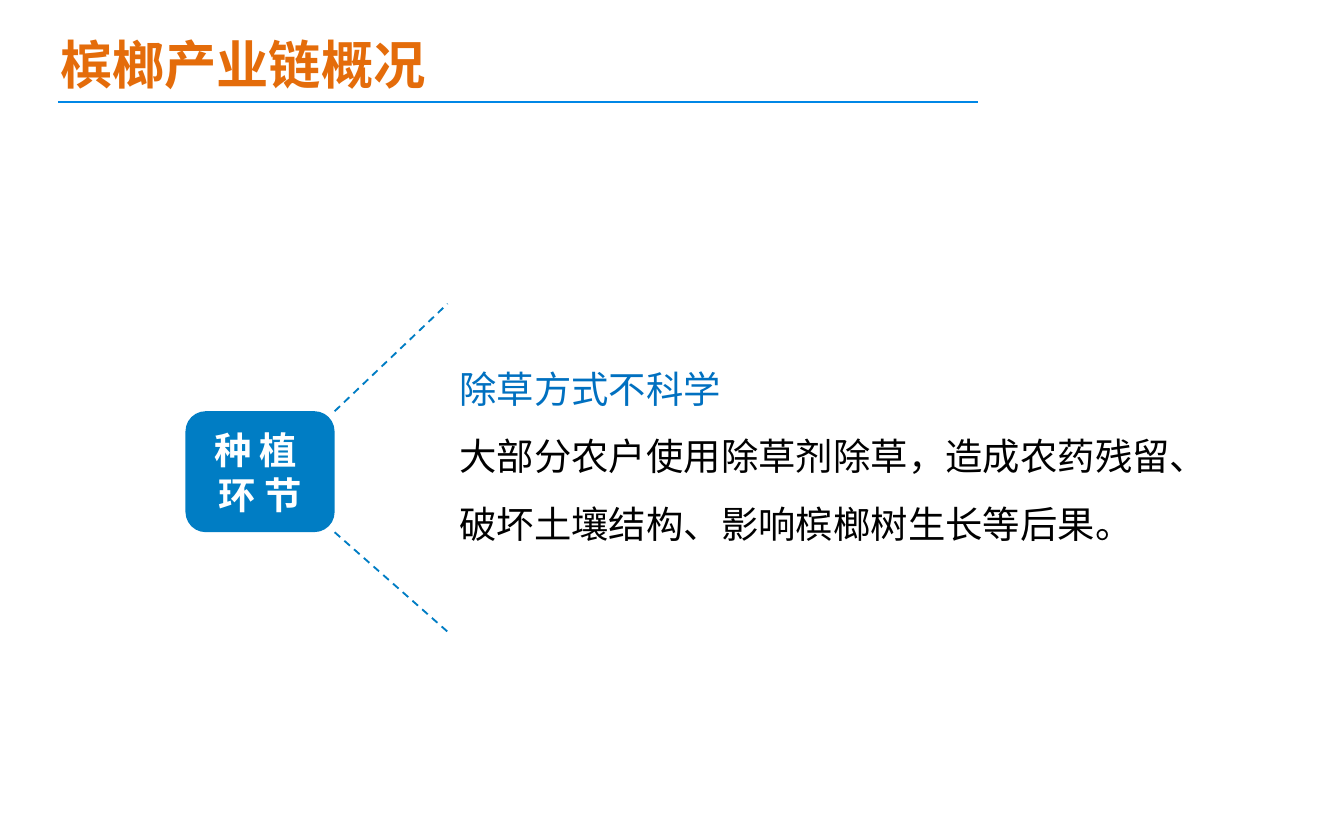
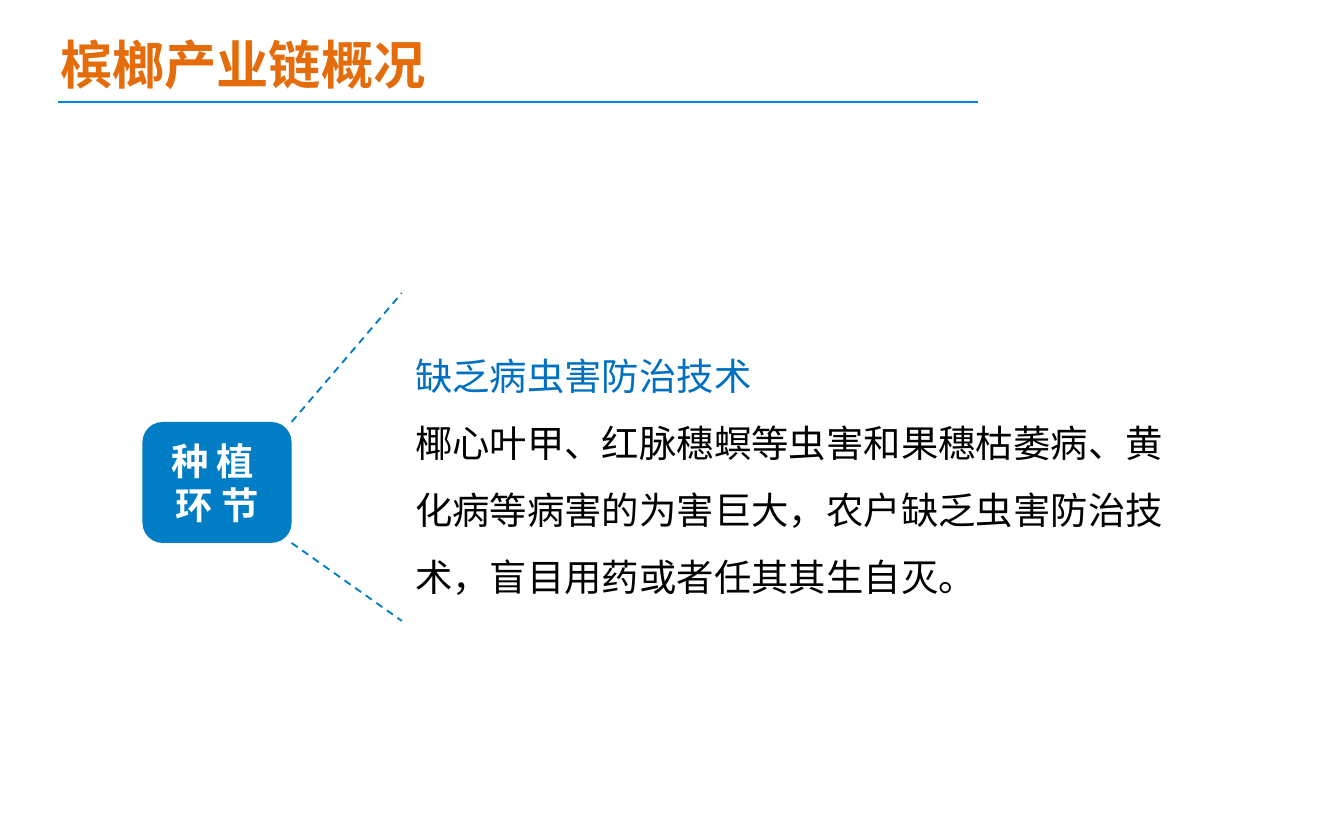
from lxml.etree import SubElement
from pptx import Presentation
from pptx.dml.color import RGBColor
from pptx.enum.dml import MSO_LINE as Dash
from pptx.enum.shapes import MSO_CONNECTOR as Link, MSO_SHAPE as Shape
from pptx.enum.text import MSO_ANCHOR as Anchor, MSO_AUTO_SIZE as Fit, PP_ALIGN as Align
from pptx.oxml.ns import qn
from pptx.util import Inches, Pt

BLUE = RGBColor(0x00, 0x7D, 0xC4)
HEAD = RGBColor(0x00, 0x70, 0xC0)
RULE = RGBColor(0x00, 0x87, 0xE6)
ORANGE = RGBColor(0xE4, 0x6C, 0x0A)
BLACK = RGBColor(0x00, 0x00, 0x00)
WHITE = RGBColor(0xFF, 0xFF, 0xFF)

TITLE = "槟榔产业链概况"
STAGE = ("种 植 ", "环 节")
WIDE, HIGH = 1.11, 0.9


class Deck:
    """Holds the shared style and the slide being built."""

    def __init__(self):
        self.file = Presentation()
        self.file.slide_width = Inches(10)
        self.file.slide_height = Inches(6.25)
        self.slide = None

    def start(self):
        self.slide = self.file.slides.add_slide(self.file.slide_layouts[6])

    def fill(self, frame, lines, face, size, bold=False, align=None, space=None):
        frame.word_wrap = True
        for i, (text, color) in enumerate(lines):
            par = frame.paragraphs[0] if i == 0 else frame.add_paragraph()
            par.text = text
            par.alignment = align
            par.line_spacing = space
            par.font.name = face
            par.font.size = Pt(size)
            par.font.bold = bold
            par.font.color.rgb = color

    def text(self, x, y, w, h, lines, face, size, **style):
        box = self.slide.shapes.add_textbox(Inches(x), Inches(y), Inches(w), Inches(h))
        self.fill(box.text_frame, lines, face, size, **style)
        box.text_frame.auto_size = Fit.SHAPE_TO_FIT_TEXT

    def line(self, x1, y1, x2, y2, color, dash=None):
        line = self.slide.shapes.add_connector(
            Link.STRAIGHT, Inches(x1), Inches(y1), Inches(x2), Inches(y2))
        line.line.color.rgb = color
        line.line.width = Pt(1)
        line.line.dash_style = dash
        SubElement(line._element.spPr, qn("a:effectLst"))

    def badge(self, x, y):
        box = self.slide.shapes.add_shape(
            Shape.ROUNDED_RECTANGLE, Inches(x), Inches(y), Inches(WIDE), Inches(HIGH))
        box.shadow.inherit = False
        box.fill.solid()
        box.fill.fore_color.rgb = BLUE
        box.line.fill.background()
        box.text_frame.vertical_anchor = Anchor.MIDDLE
        self.fill(box.text_frame, [(row, WHITE) for row in STAGE],
                  "Noto Sans CJK SC", 20, bold=True, align=Align.CENTER)

    def title(self):
        self.line(0.43, 0.76, 7.28, 0.76, RULE)
        self.text(0.35, 0.19, 6.93, 0.57, [(TITLE, ORANGE)], "Calibri", 28, bold=True)

    def issue(self, spot, fan, area, head, body):
        x, y = spot
        end, top, low = fan
        edge = x + WIDE
        self.start()
        self.line(edge, y + HIGH, end, low, BLUE, Dash.DASH)
        self.line(edge, y, end, top, BLUE, Dash.DASH)
        self.badge(x, y)
        self.text(*area, [(head, HEAD), (body, BLACK)], "Arial", 20, space=1.5)
        self.title()


def main():
    deck = Deck()
    deck.issue((1.38, 3.06), (3.33, 2.26, 4.7), (3.32, 2.51, 5.93, 1.62),
               "除草方式不科学",
               "大部分农户使用除草剂除草，造成农药残留、破坏土壤结构、影响槟榔树生长等后果。")
    deck.issue((1.06, 3.14), (2.99, 2.18, 4.62), (2.99, 2.41, 6, 2.12),
               "缺乏病虫害防治技术",
               "椰心叶甲、红脉穗螟等虫害和果穗枯萎病、黄化病等病害的为害巨大，"
               "农户缺乏虫害防治技术，盲目用药或者任其其生自灭。")
    deck.file.save("out.pptx")


if __name__ == "__main__":
    main()
